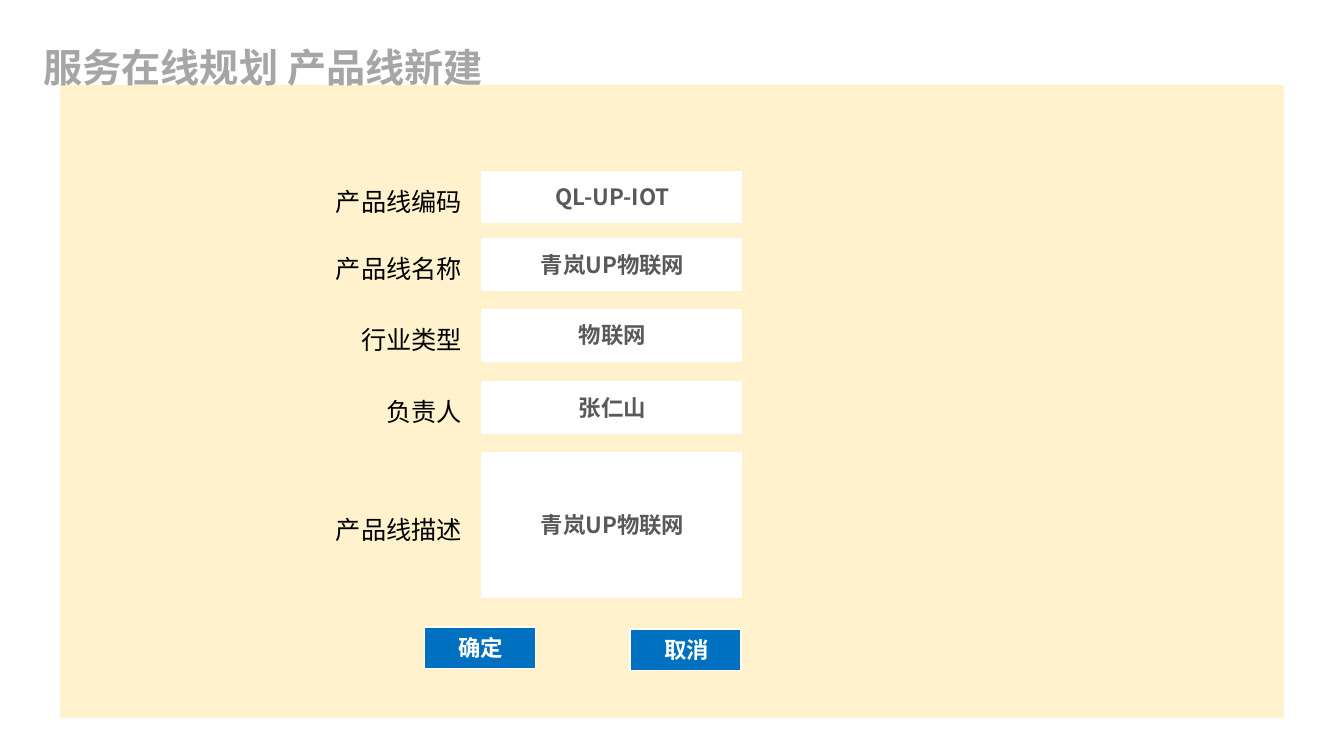
from pptx import Presentation
from pptx.dml.color import RGBColor
from pptx.enum.shapes import MSO_SHAPE
from pptx.enum.text import MSO_ANCHOR, PP_ALIGN
from pptx.oxml.ns import qn
from pptx.util import Inches, Pt

RECT = MSO_SHAPE.RECTANGLE
LEFT, CENTER, RIGHT = PP_ALIGN.LEFT, PP_ALIGN.CENTER, PP_ALIGN.RIGHT
MIDDLE = MSO_ANCHOR.MIDDLE

# Content
TITLE = "服务在线规划 产品线新建"
FIELDS = [  # label, value, top, height
    ("产品线编码", "QL-UP-IOT", 1.7, 0.51),
    ("产品线名称", "青岚UP物联网", 2.37, 0.51),
    ("行业类型", "物联网", 3.07, 0.51),
    ("负责人", "张仁山", 3.79, 0.51),
    ("产品线描述", "青岚UP物联网", 4.49, 1.44),
]
BUTTONS = [("确定", 4.21, 6.22), ("取消", 6.25, 6.24)]  # text, left, top

# Style
COLORS = {"panel": "FFF2CC", "white": "FFFFFF", "title": "A6A6A6",
          "value": "595959", "label": "000000", "button": "0070C0"}
HEADING_FONT, LABEL_FONT = "Noto Sans CJK SC", "Calibri"

# Form grid, in inches
SLIDE_W, SLIDE_H = 13.33, 7.5
FIELD_LEFT, FIELD_W = 4.78, 2.57
LABEL_W, LABEL_H, LABEL_GAP, LABEL_DROP = 1.73, 0.4, 0.1, 0.04
BUTTON_W, BUTTON_H = 1.1, 0.41

prs = Presentation()
prs.slide_width, prs.slide_height = Inches(SLIDE_W), Inches(SLIDE_H)
slide = prs.slides.add_slide(prs.slide_layouts[6])


def color(key):
    return RGBColor.from_string(COLORS[key])


def write(shape, text, size, key, align, font, bold, insets):
    frame = shape.text_frame
    frame.word_wrap = True
    (frame.margin_left, frame.margin_top,
     frame.margin_right, frame.margin_bottom) = map(Inches, insets)
    paragraph = frame.paragraphs[0]
    paragraph.text = text
    paragraph.alignment = align
    paragraph.font.size = Pt(size)
    paragraph.font.bold = bold
    paragraph.font.color.rgb = color(key)
    paragraph.font.name = font
    # East Asian characters take their typeface from a:ea
    defaults = paragraph._p.pPr.find(qn("a:defRPr"))
    east_asian = defaults.makeelement(qn("a:ea"), {"typeface": HEADING_FONT})
    defaults.find(qn("a:latin")).addnext(east_asian)
    return paragraph


def add_box(left, top, width, height, fill):
    box = slide.shapes.add_shape(RECT, *map(Inches, (left, top, width, height)))
    box.shadow.inherit = False
    box.fill.solid()
    box.fill.fore_color.rgb = color(fill)
    box.line.color.rgb = color("white")
    box.line.width = Pt(1)
    return box


def add_text_box(left, top, width, height):
    return slide.shapes.add_textbox(*map(Inches, (left, top, width, height)))


def add_captioned_box(text, left, top, width, height, fill, ink):
    box = add_box(left, top, width, height, fill)
    box.text_frame.vertical_anchor = MIDDLE
    write(box, text, 16, ink, CENTER, HEADING_FONT, True, (0.02, 0.04, 0, 0.05))


# Panel and title
add_box(0.59, 0.84, 12.15, 6.29, "panel")
title = write(add_text_box(0.36, 0.16, 8.05, 0.69), TITLE, 28, "title", LEFT,
              HEADING_FONT, True, (0.07, 0.04, 0.07, 0.04))
title.line_spacing = 1.5

# Form rows: each label sits beside the middle of its field
for name, value, top, height in FIELDS:
    add_captioned_box(value, FIELD_LEFT, top, FIELD_W, height, "white", "value")
    label = add_text_box(FIELD_LEFT - LABEL_GAP - LABEL_W,
                         top + (height - LABEL_H) / 2 + LABEL_DROP,
                         LABEL_W, LABEL_H)
    write(label, name, 18, "label", RIGHT, LABEL_FONT, False,
          (0.1, 0.05, 0.1, 0.05))

# Buttons
for caption, left, top in BUTTONS:
    add_captioned_box(caption, left, top, BUTTON_W, BUTTON_H, "button", "white")

prs.save("out.pptx")
